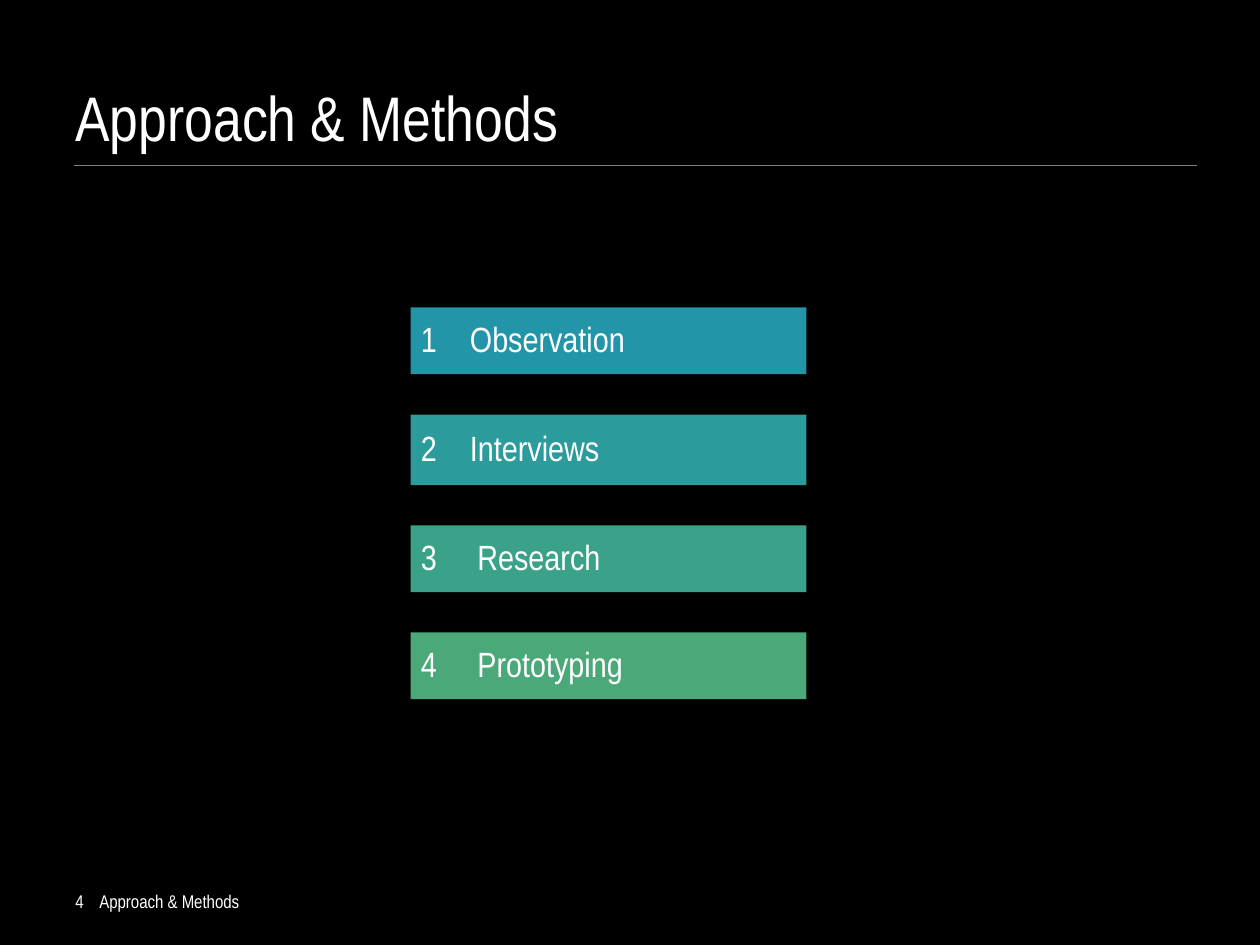
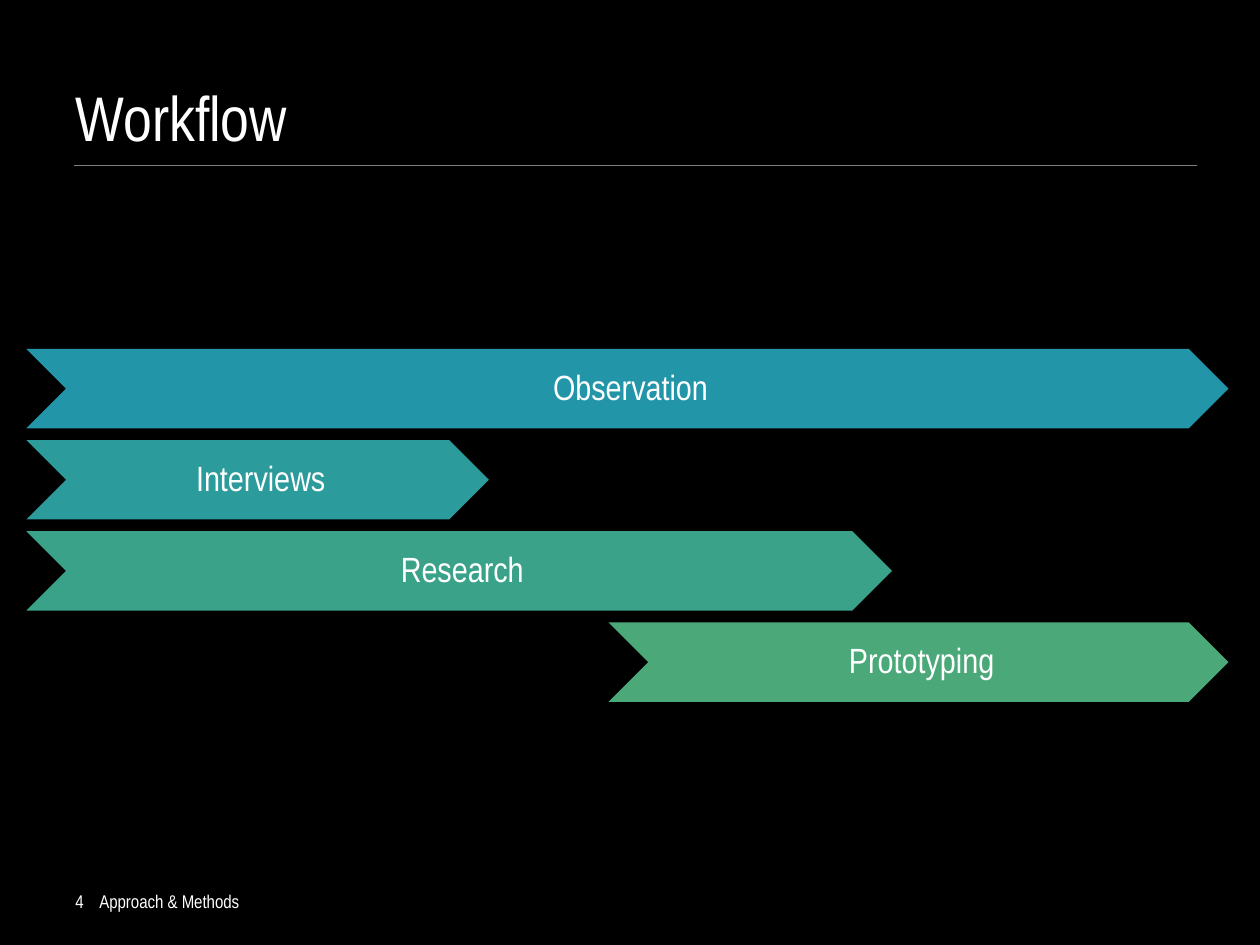
from dataclasses import dataclass

from lxml import etree
from pptx import Presentation
from pptx.dml.color import RGBColor
from pptx.enum.shapes import MSO_CONNECTOR, MSO_SHAPE
from pptx.enum.text import MSO_ANCHOR, MSO_AUTO_SIZE, PP_ALIGN
from pptx.oxml.ns import qn
from pptx.util import Inches, Pt

RECT = MSO_SHAPE.RECTANGLE
CHEVRON = MSO_SHAPE.CHEVRON
LINE = MSO_CONNECTOR.STRAIGHT
MIDDLE = MSO_ANCHOR.MIDDLE
NO_FIT = MSO_AUTO_SIZE.NONE
LEFT = PP_ALIGN.LEFT
CENTER = PP_ALIGN.CENTER
TITLE_ONLY = 5


@dataclass(frozen=True)
class Theme:
    font: str = "Arial Narrow"
    back: str = "000000"
    text: str = "FFFFFF"
    rule: str = "808080"
    steps: tuple = ("2295A9", "2B9B9C", "3BA28A", "4AA879")
    title: float = 36
    label: float = 20
    foot: float = 10.5


THEME = Theme()
STEPS = ("Observation", "Interviews", "Research", "Prototyping")


def color(code):
    return RGBColor.from_string(code)


def box(left, top, width, height):
    return [Inches(v) for v in (left, top, width, height)]


def write(shape, text, size, align=LEFT, tab=None, pad=None, lead=None):
    frame = shape.text_frame
    frame.word_wrap = True
    frame.auto_size = NO_FIT
    frame.vertical_anchor = MIDDLE
    if pad:
        (frame.margin_left, frame.margin_top,
         frame.margin_right, frame.margin_bottom) = box(*pad)
    para = frame.paragraphs[0]
    para.alignment = align
    if lead:
        para.line_spacing = lead
    if tab:
        props = para._p.get_or_add_pPr()
        stops = etree.SubElement(props, qn("a:tabLst"))
        etree.SubElement(stops, qn("a:tab"), pos=str(Inches(tab)), algn="l")
    run = para.add_run()
    run.text = text
    run.font.name = THEME.font
    run.font.size = Pt(size)
    run.font.color.rgb = color(THEME.text)


def add_rule(slide):
    line = slide.shapes.add_connector(
        LINE, Inches(0.59), Inches(1.31), Inches(9.5), Inches(1.31))
    line.line.color.rgb = color(THEME.rule)
    line.line.width = Pt(0.5)
    etree.SubElement(line._element.spPr, qn("a:effectLst"))


def add_page(deck, title):
    slide = deck.slides.add_slide(deck.slide_layouts[TITLE_ONLY])
    add_rule(slide)
    head = slide.shapes.title
    head.left, head.top, head.width, head.height = box(0.5, 0.3, 9, 1.25)
    write(head, title, THEME.title)
    foot = slide.shapes.add_textbox(*box(0.5, 6.95, 6.08, 0.4))
    write(foot, "4\tApproach & Methods", THEME.foot, tab=0.19)
    return slide


def add_step(slide, kind, place, fill, text, **style):
    shape = slide.shapes.add_shape(kind, *box(*place))
    shape.shadow.inherit = False
    shape.fill.solid()
    shape.fill.fore_color.rgb = color(fill)
    shape.line.fill.background()
    write(shape, text, THEME.label, lead=0.9, **style)


def add_methods(deck):
    slide = add_page(deck, "Approach & Methods")
    top, gap = 2.44, 0.32
    sizes = (0.53, 0.56, 0.53, 0.53)
    tabs = (0.39, 0.39, 0.45, 0.45)
    rows = zip(STEPS, THEME.steps, sizes, tabs)
    for num, (name, fill, height, tab) in enumerate(rows, 1):
        add_step(slide, RECT, (3.26, top, 3.14, height), fill,
                 f"{num}\t{name}", tab=tab, pad=(0.08,) * 4)
        top += height + gap


def add_flow(deck):
    slide = add_page(deck, "Workflow")
    first, last = 2.77, 4.94
    pitch = (last - first) / (len(STEPS) - 1)
    spans = ((0.21, 9.75), (0.21, 3.88), (0.21, 7.08), (4.83, 9.75))
    rows = zip(STEPS, THEME.steps, spans)
    for row, (name, fill, (start, end)) in enumerate(rows):
        place = (start, first + row * pitch, end - start, 0.63)
        add_step(slide, CHEVRON, place, fill, name, align=CENTER,
                 pad=(0.08, 0.03, 0.03, 0.03))


def main():
    deck = Presentation()
    deck.slide_width = Inches(10)
    deck.slide_height = Inches(7.5)
    back = deck.slide_master.background.fill
    back.solid()
    back.fore_color.rgb = color(THEME.back)
    add_methods(deck)
    add_flow(deck)
    deck.save("out.pptx")


main()
